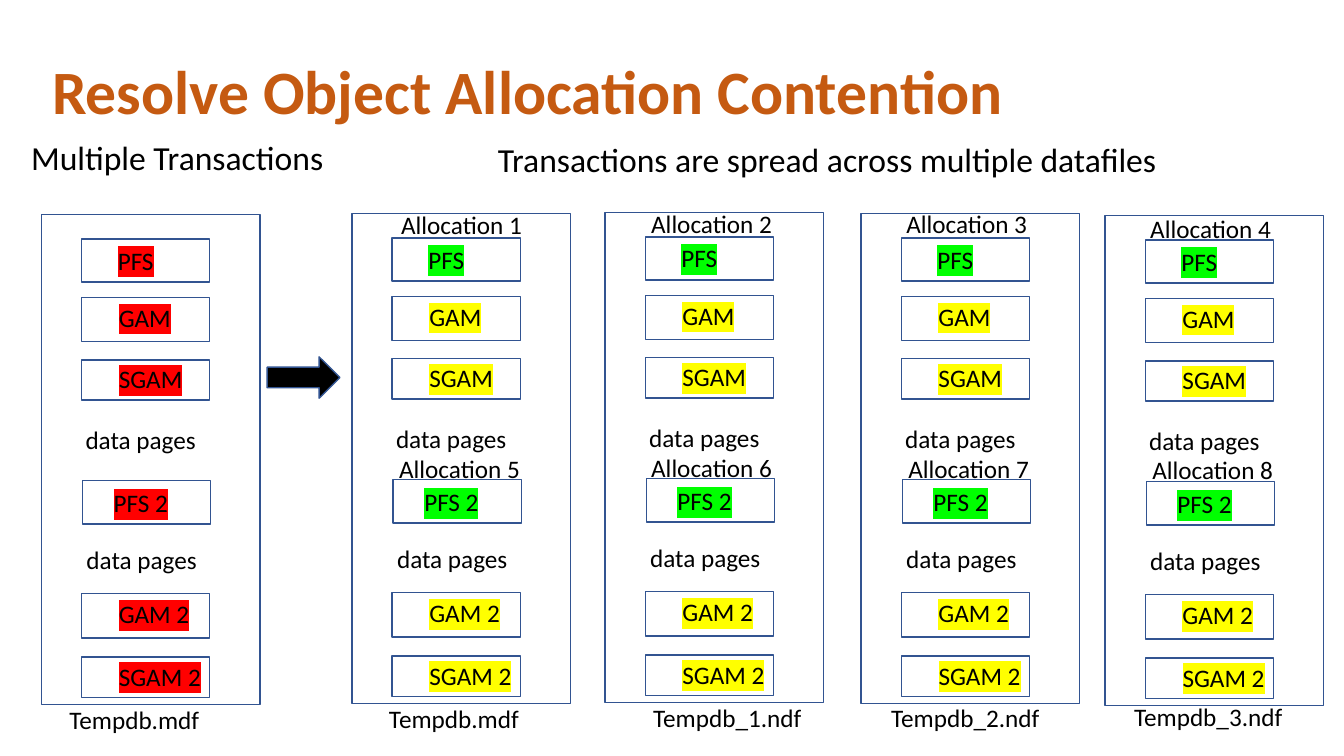
from lxml.etree import SubElement
from pptx import Presentation
from pptx.dml.color import RGBColor
from pptx.enum.shapes import MSO_SHAPE as Shape
from pptx.enum.text import MSO_ANCHOR as Anchor, MSO_AUTO_SIZE as AutoSize
from pptx.oxml.ns import qn
from pptx.util import Inches, Pt

FONT, INK, ORANGE, OUTLINE = "Calibri", "000000", "C55A11", "325491"
RED, GREEN, YELLOW = "FF0000", "00FF00", "FFFF00"
FRAME_SIZE = (2.17, 4.86)
PAGE_WIDTH = 1.27
LABEL_HEIGHT = 0.4

HEADINGS = [
    ("Multiple Transactions", 0.21, 1.35, 3.13, 0.46, 0.9),
    ("Transactions are spread across multiple datafiles", 4.84, 1.33, 6.8, 0.5, 1.0),
]
DATAFILES = [
    {"name": "Tempdb.mdf", "frame": (0.41, 2.13), "caption": (0.59, 6.94, 1.5),
     "colors": (RED, RED), "allocations": []},
    {"name": "Tempdb.mdf", "frame": (3.49, 2.12), "caption": (3.76, 6.93, 1.5),
     "colors": (GREEN, YELLOW),
     "allocations": [("Allocation 1", 3.88, 2.03), ("Allocation 5", 3.86, 4.45)]},
    {"name": "Tempdb_1.ndf", "frame": (6.0, 2.11), "caption": (6.38, 6.92, 1.69),
     "colors": (GREEN, YELLOW),
     "allocations": [("Allocation 2", 6.36, 2.02), ("Allocation 6", 6.36, 4.44)]},
    {"name": "Tempdb_2.ndf", "frame": (8.54, 2.12), "caption": (8.74, 6.92, 1.69),
     "colors": (GREEN, YELLOW),
     "allocations": [("Allocation 3", 8.89, 2.02), ("Allocation 7", 8.91, 4.45)]},
    {"name": "Tempdb_3.ndf", "frame": (10.96, 2.14), "caption": (11.15, 6.91, 1.69),
     "colors": (GREEN, YELLOW),
     "allocations": [("Allocation 4", 11.31, 2.07), ("Allocation 8", 11.33, 4.46)]},
]
PAGES = [
    ("PFS", 0.40, 0.24, 0.43, 0.66, 0.25, 1.0),
    ("GAM", 0.40, 0.82, 0.44, 0.67, 0.82, 1.0),
    ("SGAM", 0.40, 1.44, 0.40, 0.67, 1.43, 1.0),
    ("PFS 2", 0.41, 2.64, 0.43, 0.62, 2.66, 1.0),
    ("GAM 2", 0.40, 3.76, 0.44, 0.67, 3.76, 1.0),
    ("SGAM 2", 0.40, 4.39, 0.40, 0.67, 4.38, 1.09),
]
DATA_PAGES = [(0.34, 2.03), (0.35, 3.22)]


def color(value):
    return RGBColor.from_string(value)


def add_text(page, text, left, top, width, height=LABEL_HEIGHT, size=18, ink=INK,
             bold=False, wrap=True, spacing=1.0, highlight=None,
             anchor=Anchor.TOP, fit=AutoSize.SHAPE_TO_FIT_TEXT):
    box = page.shapes.add_textbox(Inches(left), Inches(top), Inches(width), Inches(height))
    frame = box.text_frame
    frame.word_wrap = wrap
    frame.auto_size = fit
    frame.vertical_anchor = anchor
    para = frame.paragraphs[0]
    para.line_spacing = spacing
    span = para.add_run()
    span.text = text
    span.font.size = Pt(size)
    span.font.bold = bold
    span.font.color.rgb = color(ink)
    if highlight:
        marker = SubElement(span.font._element, qn("a:highlight"))
        SubElement(marker, qn("a:srgbClr")).set("val", highlight)
    span.font.name = FONT


def add_outline(page, kind, left, top, width, height, fill=None):
    shape = page.shapes.add_shape(kind, Inches(left), Inches(top), Inches(width), Inches(height))
    shape.shadow.inherit = False
    if fill:
        shape.fill.solid()
        shape.fill.fore_color.rgb = color(fill)
    else:
        shape.fill.background()
    shape.line.color.rgb = color(OUTLINE)
    shape.line.width = Pt(1)


def add_datafile(page, datafile):
    left, top = datafile["frame"]
    pfs_color, gam_color = datafile["colors"]
    add_outline(page, Shape.RECTANGLE, left, top, *FRAME_SIZE)
    for name, box_x, box_y, height, text_x, text_y, width in PAGES:
        add_outline(page, Shape.RECTANGLE, left + box_x, top + box_y, PAGE_WIDTH, height)
        highlight = pfs_color if name.startswith("PFS") else gam_color
        add_text(page, name, left + text_x, top + text_y, width, highlight=highlight)
    for text_x, text_y in DATA_PAGES:
        add_text(page, "data pages", left + text_x, top + text_y, 1.46)
    for name, text_left, text_top in datafile["allocations"]:
        add_text(page, name, text_left, text_top, 1.68)
    add_text(page, datafile["name"], *datafile["caption"], wrap=False)


def main():
    deck = Presentation()
    deck.slide_width, deck.slide_height = Inches(13.33), Inches(7.5)
    page = deck.slides.add_slide(deck.slide_layouts[6])
    add_text(page, "Resolve Object Allocation Contention", 0.42, 0.21, 11.5, 1.45,
             size=44, ink=ORANGE, bold=True, spacing=0.9,
             anchor=Anchor.MIDDLE, fit=AutoSize.NONE)
    for text, left, top, width, height, spacing in HEADINGS:
        add_text(page, text, left, top, width, height, size=24, wrap=False, spacing=spacing)
    for datafile in DATAFILES:
        add_datafile(page, datafile)
    add_outline(page, Shape.RIGHT_ARROW, 2.65, 3.54, 0.72, 0.41, fill=INK)
    deck.save("out.pptx")


if __name__ == "__main__":
    main()
